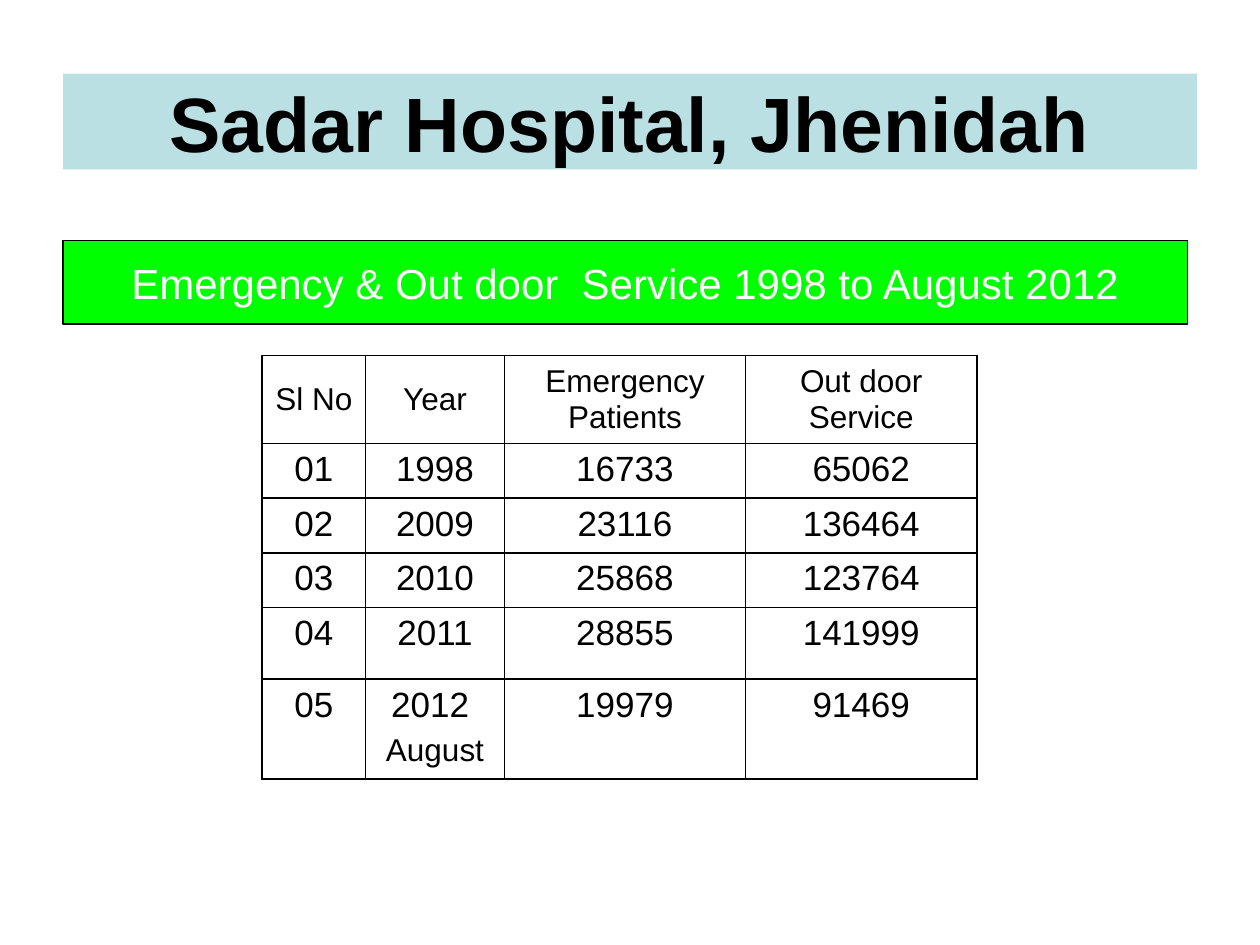
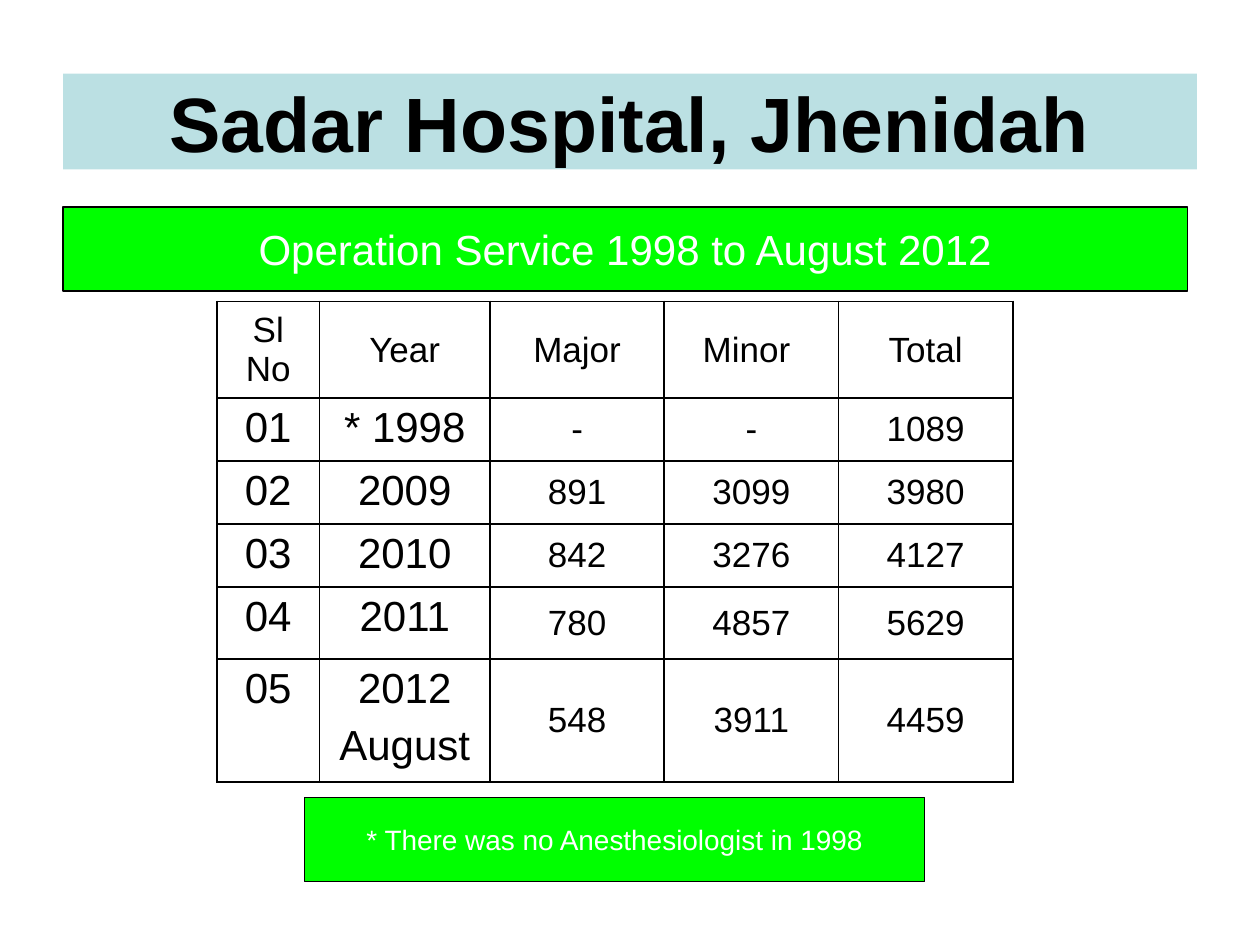
"""Build two slides of hospital service statistics for Sadar Hospital, Jhenidah."""
from lxml.etree import SubElement
from pptx import Presentation
from pptx.dml.color import RGBColor
from pptx.enum.shapes import MSO_SHAPE
from pptx.enum.text import MSO_ANCHOR, MSO_AUTO_SIZE, PP_ALIGN
from pptx.oxml import parse_xml
from pptx.oxml.ns import nsdecls, qn
from pptx.util import Pt

FONT = "Arial"
BLACK = RGBColor(0x00, 0x00, 0x00)
WHITE = RGBColor(0xFF, 0xFF, 0xFF)
GREEN = RGBColor(0x00, 0xFF, 0x00)
PALE_BLUE = RGBColor(0xBB, 0xE0, 0xE3)
BORDER_WIDTH = Pt(1.08)
BAND_HEIGHT = 60.5

SLIDES = [
    {
        "bands": [("Emergency & Out door  Service 1998 to August 2012", 36, 137.25, 642.5, 24)],
        "table_at": (149.9, 203.2),
        "columns": [59, 79.4, 137.7, 132.4],
        "rows": [50.3, 31.25, 31.25, 31.25, 41, 57],
        "header_size": 18,
        "sizes": [20, 20, 20, 20],
        "month_size": 18,
        "month_gap": 4.5,
        "top_columns": 4,
        "cells": [
            ["Sl No", "Year", "Emergency Patients", "Out door Service"],
            ["01", "1998", "16733", "65062"],
            ["02", "2009", "23116", "136464"],
            ["03", "2010", "25868", "123764"],
            ["04", "2011", "28855", "141999"],
            ["05", "2012 \nAugust", "19979", "91469"],
        ],
    },
    {
        "bands": [
            ("Operation Service 1998 to August 2012", 36, 118.25, 642.5, 24),
            ("* There was no Anesthesiologist in 1998", 174, 455.75, 354.5, 16),
        ],
        "table_at": (124, 172.2),
        "columns": [58.6, 97.4, 99.6, 99.6, 99.6],
        "rows": [55.4, 36, 36, 36, 41, 70.3],
        "header_size": 20,
        "sizes": [24, 24, 20, 20, 20],
        "month_size": 24,
        "month_gap": 6,
        "top_columns": 2,
        "cells": [
            ["Sl No", "Year", "Major", "Minor ", "Total"],
            ["01", "* 1998", "-", "-", "1089"],
            ["02", "2009", "891", "3099", "3980"],
            ["03", "2010", "842", "3276", "4127"],
            ["04", "2011", "780", "4857", "5629"],
            ["05", "2012\nAugust", "548", "3911", "4459"],
        ],
    },
]


def write(para, text, size, color=BLACK, bold=False):
    para.alignment = PP_ALIGN.CENTER
    span = para.add_run()
    span.text = text
    span.font.name = FONT
    span.font.size = Pt(size)
    span.font.bold = bold
    span.font.color.rgb = color


def draw_borders(cell):
    properties = cell._tc.get_or_add_tcPr()
    for position, side in enumerate(("lnL", "lnR", "lnT", "lnB")):
        line = parse_xml(f'<a:{side} {nsdecls("a")} w="{BORDER_WIDTH}"/>')
        fill = SubElement(line, qn("a:solidFill"))
        SubElement(fill, qn("a:srgbClr"), val=str(BLACK))
        properties.insert(position, line)


deck = Presentation()
deck.slide_width, deck.slide_height = Pt(720), Pt(540)

for content in SLIDES:
    page = deck.slides.add_slide(deck.slide_layouts[5])

    title = page.shapes.title
    title.left, title.top, title.width, title.height = Pt(36), Pt(42), Pt(648), Pt(54.75)
    title.fill.solid()
    title.fill.fore_color.rgb = PALE_BLUE
    title.text_frame.auto_size = MSO_AUTO_SIZE.NONE
    title.text_frame.vertical_anchor = MSO_ANCHOR.MIDDLE
    write(title.text_frame.paragraphs[0], "Sadar Hospital, Jhenidah", 44, bold=True)

    columns, rows = content["columns"], content["rows"]
    left, top = content["table_at"]
    table = page.shapes.add_table(
        len(rows), len(columns), Pt(left), Pt(top), Pt(sum(columns)), Pt(sum(rows))
    ).table
    table.first_row = table.horz_banding = False
    for column, width in zip(table.columns, columns):
        column.width = Pt(width)
    for row, height in zip(table.rows, rows):
        row.height = Pt(height)

    for row_index, texts in enumerate(content["cells"]):
        for column_index, text in enumerate(texts):
            cell = table.cell(row_index, column_index)
            is_header = row_index == 0
            at_top = not is_header and column_index < content["top_columns"]
            cell.vertical_anchor = MSO_ANCHOR.TOP if at_top else MSO_ANCHOR.MIDDLE
            cell.fill.background()
            draw_borders(cell)
            size = content["header_size"] if is_header else content["sizes"][column_index]
            first, *months = text.split("\n")
            write(cell.text_frame.paragraphs[0], first, size)
            for month in months:
                para = cell.text_frame.add_paragraph()
                para.space_before = Pt(content["month_gap"])
                write(para, month, content["month_size"])

    for text, left, top, width, size in content["bands"]:
        band = page.shapes.add_shape(
            MSO_SHAPE.RECTANGLE, Pt(left), Pt(top), Pt(width), Pt(48)
        )
        band.shadow.inherit = False
        band.fill.solid()
        band.fill.fore_color.rgb = GREEN
        band.line.color.rgb = BLACK
        band.line.width = Pt(0.75)
        band.text_frame.word_wrap = True
        band.text_frame.vertical_anchor = MSO_ANCHOR.MIDDLE
        write(band.text_frame.paragraphs[0], text, size, WHITE)

deck.save("out.pptx")
